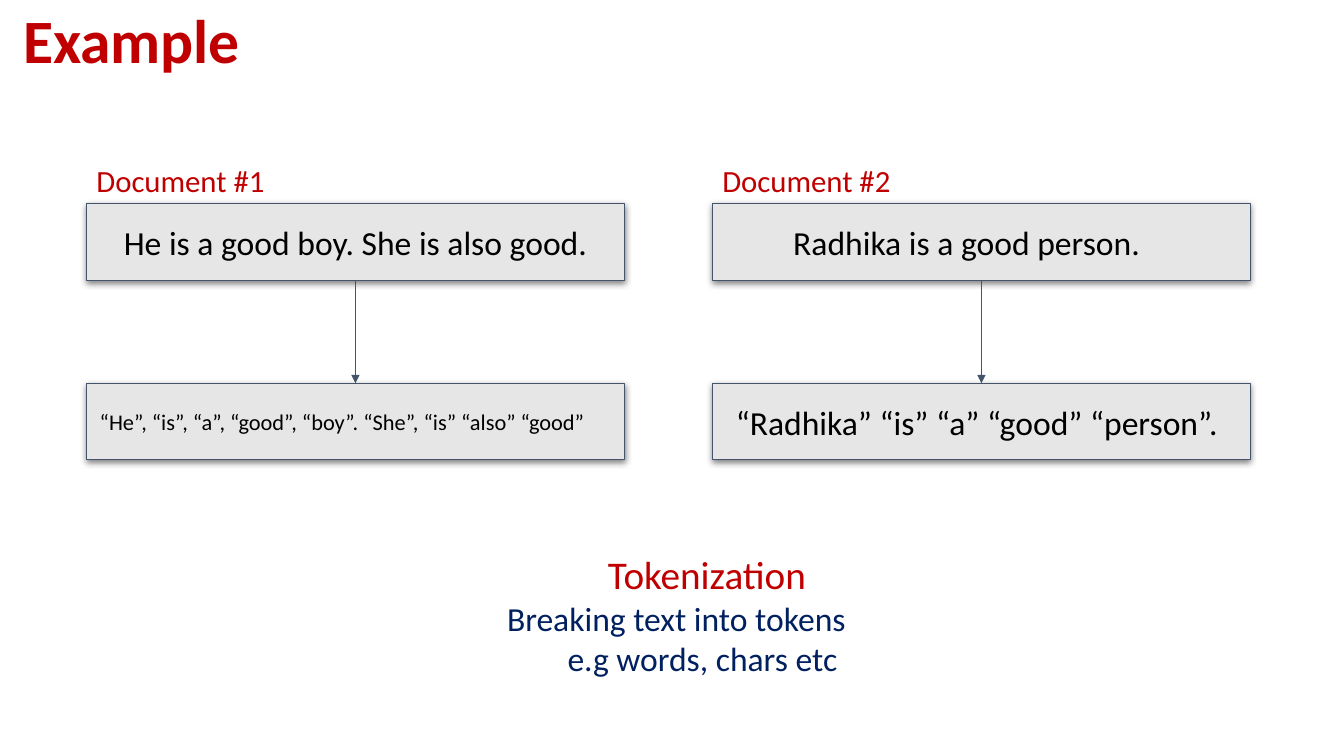
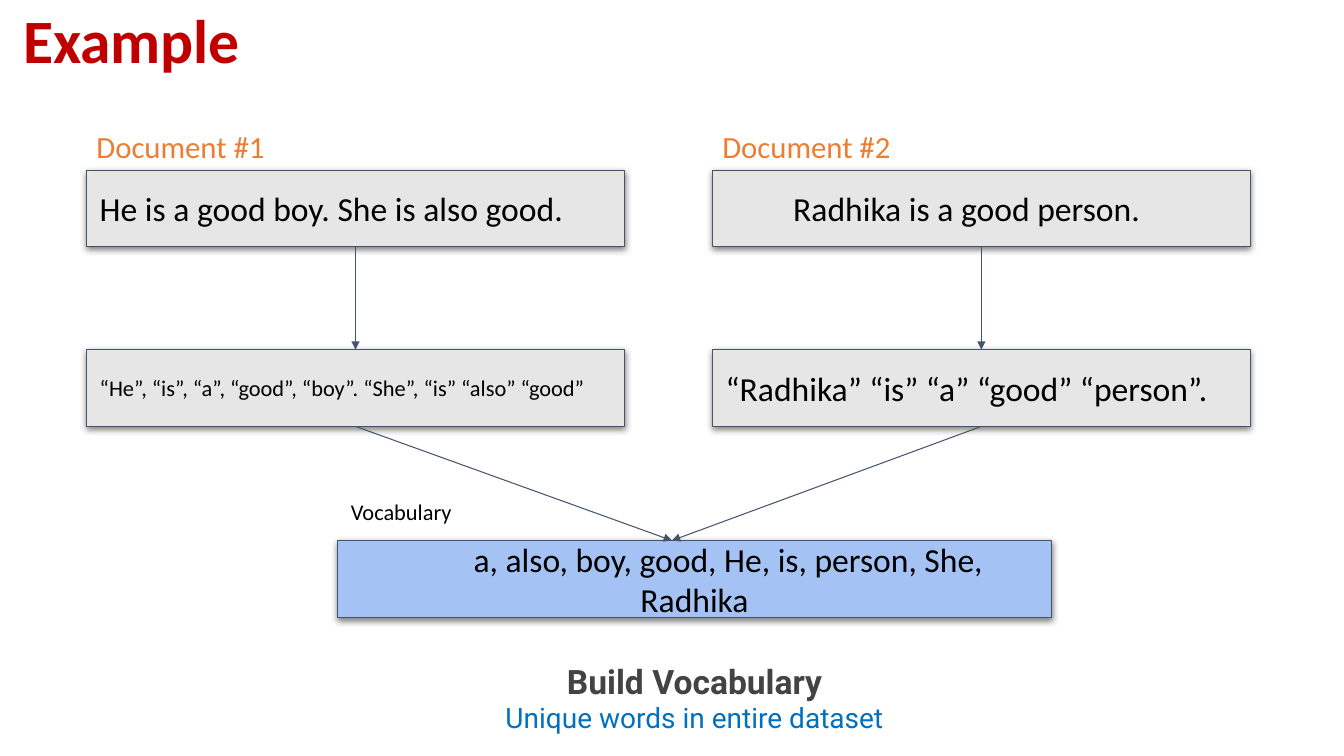
from lxml import etree
from pptx import Presentation
from pptx.dml.color import RGBColor
from pptx.enum.shapes import MSO_CONNECTOR, MSO_SHAPE
from pptx.enum.text import MSO_ANCHOR, PP_ALIGN
from pptx.oxml.ns import qn
from pptx.util import Inches, Pt

RECTANGLE = MSO_SHAPE.RECTANGLE
STRAIGHT = MSO_CONNECTOR.STRAIGHT
TOP, MIDDLE = MSO_ANCHOR.TOP, MSO_ANCHOR.MIDDLE
LEFT, CENTER = PP_ALIGN.LEFT, PP_ALIGN.CENTER

BLACK = RGBColor(0x00, 0x00, 0x00)
RED = RGBColor(0xC0, 0x00, 0x00)
ORANGE = RGBColor(0xED, 0x7D, 0x31)
NAVY = RGBColor(0x00, 0x20, 0x60)
BLUE = RGBColor(0x00, 0x70, 0xC0)
CHARCOAL = RGBColor(0x43, 0x43, 0x43)
SLATE = RGBColor(0x44, 0x54, 0x6A)
GREY = RGBColor(0xE7, 0xE6, 0xE6)
SKY = RGBColor(0xA4, 0xC2, 0xF4)

COLUMNS, ROWS = 40, 20
BOX_LEFTS = (2.58, 21.21)
BOX_WIDTH, BOX_HEIGHT = 16, 2.03
BOX_PITCH = 4.75
LABEL_HEIGHT = 1.46
BOX_CENTERS = [left + BOX_WIDTH / 2 for left in BOX_LEFTS]


def line(text, size=24, color=BLACK, font="Calibri", bold=False, align=LEFT,
         margin=0, indent=0, spacing=1.0):
    """Describe one paragraph of text."""
    return dict(text=text, size=size, color=color, font=font, bold=bold, align=align,
                margin=margin, indent=indent, spacing=spacing)


class Sketch:
    """Holds the style, the deck and the current slide."""

    def __init__(self):
        """Start a widescreen deck."""
        self.deck = Presentation()
        self.deck.slide_width = Inches(13.333)
        self.deck.slide_height = Inches(7.5)
        self.page = None

    def place(self, *lengths):
        """Turn alternating columns and rows into slide lengths."""
        units = (self.deck.slide_width / COLUMNS, self.deck.slide_height / ROWS)
        return [round(length * units[i % 2]) for i, length in enumerate(lengths)]

    def new_page(self, title):
        """Add a blank slide with its title."""
        self.page = self.deck.slides.add_slide(self.deck.slide_layouts[6])
        self.text((0.39, 0, 34.5, 1.92),
                  [line(title, 44, RED, bold=True, spacing=0.9)], inset=0.1)

    def add_lines(self, shape, lines, anchor, inset):
        """Fill a shape with paragraphs."""
        frame = shape.text_frame
        frame.word_wrap = True
        frame.vertical_anchor = anchor
        frame.margin_left = frame.margin_right = Inches(inset)
        frame.margin_top = frame.margin_bottom = Inches(inset)
        for number, item in enumerate(lines):
            para = frame.add_paragraph() if number else frame.paragraphs[0]
            para.alignment = item["align"]
            para.line_spacing = item["spacing"]
            settings = para._p.get_or_add_pPr()
            settings.set("marL", str(Inches(item["margin"])))
            settings.set("indent", str(Inches(item["indent"])))
            span = para.add_run()
            span.text = item["text"]
            span.font.name = item["font"]
            span.font.size = Pt(item["size"])
            span.font.bold = item["bold"]
            span.font.color.rgb = item["color"]

    def text(self, area, lines, anchor=TOP, inset=0.13):
        """Add a plain text box."""
        box = self.page.shapes.add_textbox(*self.place(*area))
        self.add_lines(box, lines, anchor, inset)

    def box(self, area, content, fill=GREY):
        """Add an outlined box with a soft shadow."""
        box = self.page.shapes.add_shape(RECTANGLE, *self.place(*area))
        box.fill.solid()
        box.fill.fore_color.rgb = fill
        box.line.color.rgb = SLATE
        box.line.width = Pt(0.75)
        box.shadow.inherit = False
        effects = box.element.spPr.find(qn("a:effectLst"))
        shadow = etree.SubElement(effects, qn("a:outerShdw"), blurRad=str(Pt(4.5)),
                                  dist=str(Pt(1.5)), dir="5400000", algn="bl",
                                  rotWithShape="0")
        shade = etree.SubElement(shadow, qn("a:srgbClr"), val=str(BLACK))
        etree.SubElement(shade, qn("a:alpha"), val="50000")
        self.add_lines(box, [content], MIDDLE, 0.13)

    def arrow(self, *ends):
        """Add a straight arrow between two grid points."""
        arrow = self.page.shapes.add_connector(STRAIGHT, *self.place(*ends))
        arrow.line.color.rgb = SLATE
        arrow.line.width = Pt(0.75)
        outline = arrow.element.spPr.find(qn("a:ln"))
        etree.SubElement(outline, qn("a:tailEnd"), type="triangle")
        etree.SubElement(arrow.element.spPr, qn("a:effectLst"))

    def documents(self, top, label_color, sentences, tokens):
        """Draw each document above its tokens."""
        for number, left in enumerate(BOX_LEFTS):
            center = BOX_CENTERS[number]
            self.text((left - 0.1, top - LABEL_HEIGHT, BOX_WIDTH, LABEL_HEIGHT),
                      [line(f"Document #{number + 1}", 22, label_color)])
            self.box((left, top, BOX_WIDTH, BOX_HEIGHT), sentences[number])
            self.box((left, top + BOX_PITCH, BOX_WIDTH, BOX_HEIGHT), tokens[number])
            self.arrow(center, top + BOX_HEIGHT, center, top + BOX_PITCH)


def tokenization_page(sketch, sentences, tokens):
    """Build the slide on splitting text into tokens."""
    sketch.new_page("Example")
    first, second = sentences
    sketch.documents(5.39, RED, [dict(first, align=CENTER), second],
                     [tokens[0], dict(tokens[1], indent=0.1)])
    sketch.text((14.04, 14.3, 14, 3.92), [
        line("Tokenization", 28, RED, align=CENTER),
        line("Breaking text into tokens", color=NAVY, margin=0.22),
        line("e.g words, chars etc", color=NAVY, margin=0.82),
    ], MIDDLE)


def vocabulary_page(sketch, sentences, tokens):
    """Build the slide on collecting the vocabulary."""
    sketch.new_page("Example")
    top, left, vocabulary_top = 4.5, 10.05, 14.3
    sketch.box((left, vocabulary_top, 21.24, BOX_HEIGHT),
               line("a, also, boy, good, He, is, person, She, Radhika",
                    align=CENTER, indent=0.67), SKY)
    sketch.text((left, vocabulary_top - LABEL_HEIGHT, 19.92, LABEL_HEIGHT),
                [line("Vocabulary", 16)])
    sketch.documents(top, ORANGE, sentences, tokens)
    for center in BOX_CENTERS:
        sketch.arrow(center, top + BOX_PITCH + BOX_HEIGHT, COLUMNS / 2, vocabulary_top)
    sketch.text((4.8, 17.55, 31.74, 1.65), [
        line("Build Vocabulary", 24, CHARCOAL, "Roboto", True, CENTER, spacing=1.15),
        line("Unique words in entire dataset", 20, BLUE, "Roboto", align=CENTER),
    ], MIDDLE)


def main():
    """Build and save the deck."""
    sketch = Sketch()
    sentences = [line("He is a good boy. She is also good."),
                 line("Radhika is a good person.", indent=0.67)]
    tokens = [line("“He”, “is”, “a”, “good”, “boy”. “She”, “is” “also” “good”", 16),
              line("“Radhika” “is” “a” “good” “person”.")]
    tokenization_page(sketch, sentences, tokens)
    vocabulary_page(sketch, sentences, tokens)
    sketch.deck.save("out.pptx")


if __name__ == "__main__":
    main()
